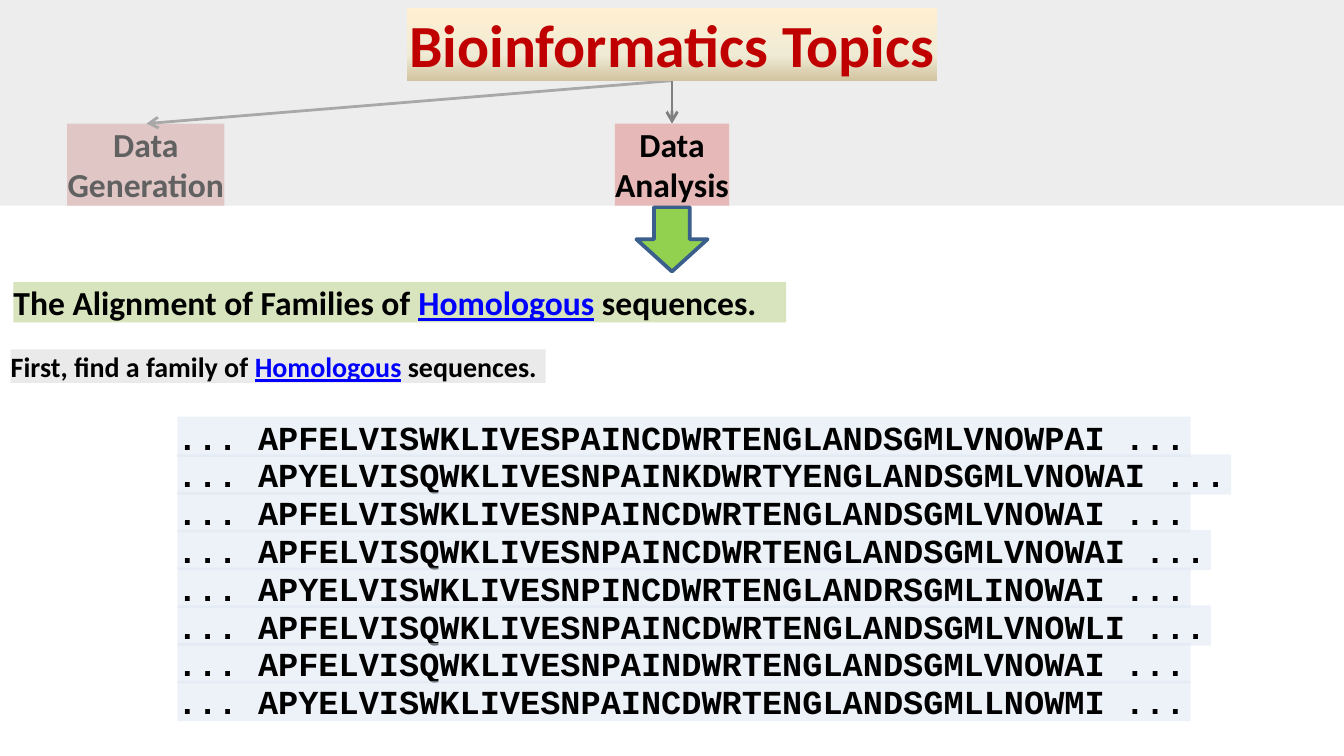
"""Build the Bioinformatics Topics slide on a grid of tenth-inch cells."""
from dataclasses import dataclass

from lxml import etree
from pptx import Presentation
from pptx.dml.color import RGBColor
from pptx.enum.shapes import MSO_CONNECTOR, MSO_SHAPE
from pptx.enum.text import MSO_AUTO_SIZE, PP_ALIGN
from pptx.oxml.ns import qn
from pptx.util import Inches, Pt

LEFT, CENTER = PP_ALIGN.LEFT, PP_ALIGN.CENTER
FIT_SHAPE = MSO_AUTO_SIZE.SHAPE_TO_FIT_TEXT
RECTANGLE, DOWN_ARROW = MSO_SHAPE.RECTANGLE, MSO_SHAPE.DOWN_ARROW
STRAIGHT = MSO_CONNECTOR.STRAIGHT

SLIDE_COLUMNS, SLIDE_ROWS = 100, 56.25
COLORS = {
    "text": "000000", "title": "C00000", "link": "0000FF", "topic": "E6B9B8",
    "heading": "D7E4BD", "step": "BFBFBF", "sequence": "DCE6F2", "veil": "D9D9D9",
    "line": "808080", "arrow": "92D050", "arrow_edge": "3A5F8C",
}
TITLE_GRADIENT = [(0, "FFEFD1"), (65, "F0EBD5"), (100, "D1C39F")]
SEQUENCES = [
    "APFELVISWKLIVESPAINCDWRTENGLANDSGMLVNOWPAI",
    "APYELVISQWKLIVESNPAINKDWRTYENGLANDSGMLVNOWAI",
    "APFELVISWKLIVESNPAINCDWRTENGLANDSGMLVNOWAI",
    "APFELVISQWKLIVESNPAINCDWRTENGLANDSGMLVNOWAI",
    "APYELVISWKLIVESNPINCDWRTENGLANDRSGMLINOWAI",
    "APFELVISQWKLIVESNPAINCDWRTENGLANDSGMLVNOWLI",
    "APFELVISQWKLIVESNPAINDWRTENGLANDSGMLVNOWAI",
    "APYELVISWKLIVESNPAINCDWRTENGLANDSGMLLNOWMI",
]
SEQUENCE_TOP, SEQUENCE_PITCH, LETTER_WIDTH = 31, 2.81, 1.5


@dataclass(frozen=True)
class Area:
    """Position and size in grid columns and rows."""
    column: float
    row: float
    columns: float
    rows: float


@dataclass(frozen=True)
class Piece:
    """A stretch of text in one style."""
    text: str
    color: str = "text"
    underline: bool = False


@dataclass(frozen=True)
class Label:
    """A filled box of text."""
    area: Area
    paragraphs: list[list[Piece]]
    fill: str
    size: float = 18
    align: PP_ALIGN = LEFT
    font: str = "Calibri"
    opacity: int = 100
    wrap: bool = False


def cells(count: float) -> int:
    """Turn grid cells into a length."""
    return Inches(count / 10)


def frame(area: Area) -> list[int]:
    """Turn an area into left, top, width and height."""
    return [cells(area.column), cells(area.row), cells(area.columns), cells(area.rows)]


def paint(shape, fill: str, opacity: int = 100) -> None:
    """Fill a shape with a solid, possibly transparent colour."""
    shape.fill.solid()
    shape.fill.fore_color.rgb = RGBColor.from_string(COLORS[fill])
    if opacity < 100:
        color = shape.fill._xPr.find(".//" + qn("a:srgbClr"))
        etree.SubElement(color, qn("a:alpha"), val=str(opacity * 1000))


def paint_gradient(shape, stops: list[tuple[int, str]]) -> None:
    """Fill a shape with a gradient running downwards."""
    shape.fill.gradient()
    shape.fill.gradient_angle = 270
    stop_list = shape.fill._xPr.find(".//" + qn("a:gsLst"))
    for old_stop in list(stop_list):
        stop_list.remove(old_stop)
    for position, color in stops:
        stop = etree.SubElement(stop_list, qn("a:gs"), pos=str(position * 1000))
        etree.SubElement(stop, qn("a:srgbClr"), val=color)


def add_label(slide, label: Label):
    """Draw a label and return its shape."""
    shape = slide.shapes.add_textbox(*frame(label.area))
    paint(shape, label.fill, label.opacity)
    text_frame = shape.text_frame
    text_frame.word_wrap = label.wrap
    text_frame.auto_size = FIT_SHAPE
    text_frame.margin_left = text_frame.margin_right = 0
    text_frame.margin_top = text_frame.margin_bottom = 0
    for index, pieces in enumerate(label.paragraphs):
        paragraph = text_frame.add_paragraph() if index else text_frame.paragraphs[0]
        paragraph.alignment = label.align
        for piece in pieces:
            run = paragraph.add_run()
            run.text = piece.text
            run.font.name, run.font.size, run.font.bold = label.font, Pt(label.size), True
            run.font.color.rgb = RGBColor.from_string(COLORS[piece.color])
            run.font.underline = piece.underline
    return shape


def add_shape(slide, kind: MSO_SHAPE, area: Area, fill: str, opacity: int = 100):
    """Draw a filled shape without an outline and return it."""
    shape = slide.shapes.add_shape(kind, *frame(area))
    shape.shadow.inherit = False
    paint(shape, fill, opacity)
    shape.line.fill.background()
    return shape


def add_branch(slide, column: float) -> None:
    """Draw an arrow from the title to a topic."""
    connector = slide.shapes.add_connector(
        STRAIGHT, cells(50), cells(6), cells(column), cells(9.2))
    connector.line.width = Pt(1.5)
    connector.line.color.rgb = RGBColor.from_string(COLORS["line"])
    etree.SubElement(connector.line._get_or_add_ln(), qn("a:tailEnd"), type="arrow")
    etree.SubElement(connector._element.spPr, qn("a:effectLst"))


def sequence_label(index: int, sequence: str) -> Label:
    """Describe one row of the alignment."""
    text = f"... {sequence} ..."
    area = Area(13.2, SEQUENCE_TOP + index * SEQUENCE_PITCH,
                len(text) * LETTER_WIDTH + 0.4, 3)
    return Label(area, [[Piece(text)]], "sequence", font="Courier New", opacity=50)


def topic_label(column: float, columns: float, name: str) -> Label:
    """Describe a topic below the title."""
    return Label(Area(column, 9.2, columns, 6.1),
                 [[Piece("Data")], [Piece(name)]], "topic", align=CENTER)


def homologous(opening: str) -> list[list[Piece]]:
    """Compose a line about homologous sequences."""
    return [[Piece(opening), Piece("Homologous", "link", True), Piece(" sequences.")]]


def main() -> None:
    """Build and save the slide."""
    presentation = Presentation()
    presentation.slide_width = cells(SLIDE_COLUMNS)
    presentation.slide_height = cells(SLIDE_ROWS)
    slide = presentation.slides.add_slide(presentation.slide_layouts[6])

    for index, sequence in enumerate(SEQUENCES):
        add_label(slide, sequence_label(index, sequence))
    add_label(slide, Label(Area(0.8, 26, 39.8, 2.5), homologous("First, find a family of "),
                           "step", size=15, opacity=32, wrap=True))
    add_label(slide, Label(Area(1, 21, 57.5, 3), homologous("The Alignment of Families of "),
                           "heading", wrap=True))

    add_label(slide, topic_label(5, 11.7, "Generation"))
    add_branch(slide, 10.9)
    add_shape(slide, RECTANGLE, Area(0, 0, SLIDE_COLUMNS, 15.3), "veil", 45)
    arrow = add_shape(slide, DOWN_ARROW, Area(47.35, 15.4, 5.3, 4.8), "arrow")
    arrow.line.color.rgb = RGBColor.from_string(COLORS["arrow_edge"])
    arrow.line.width = Pt(2)
    add_label(slide, topic_label(45.75, 8.5, "Analysis"))
    add_branch(slide, 50)
    title = add_label(slide, Label(Area(30.25, 0.6, 39.5, 5.4),
                                   [[Piece("Bioinformatics Topics", "title")]],
                                   "topic", size=32, align=CENTER))
    paint_gradient(title, TITLE_GRADIENT)
    presentation.save("out.pptx")


if __name__ == "__main__":
    main()
